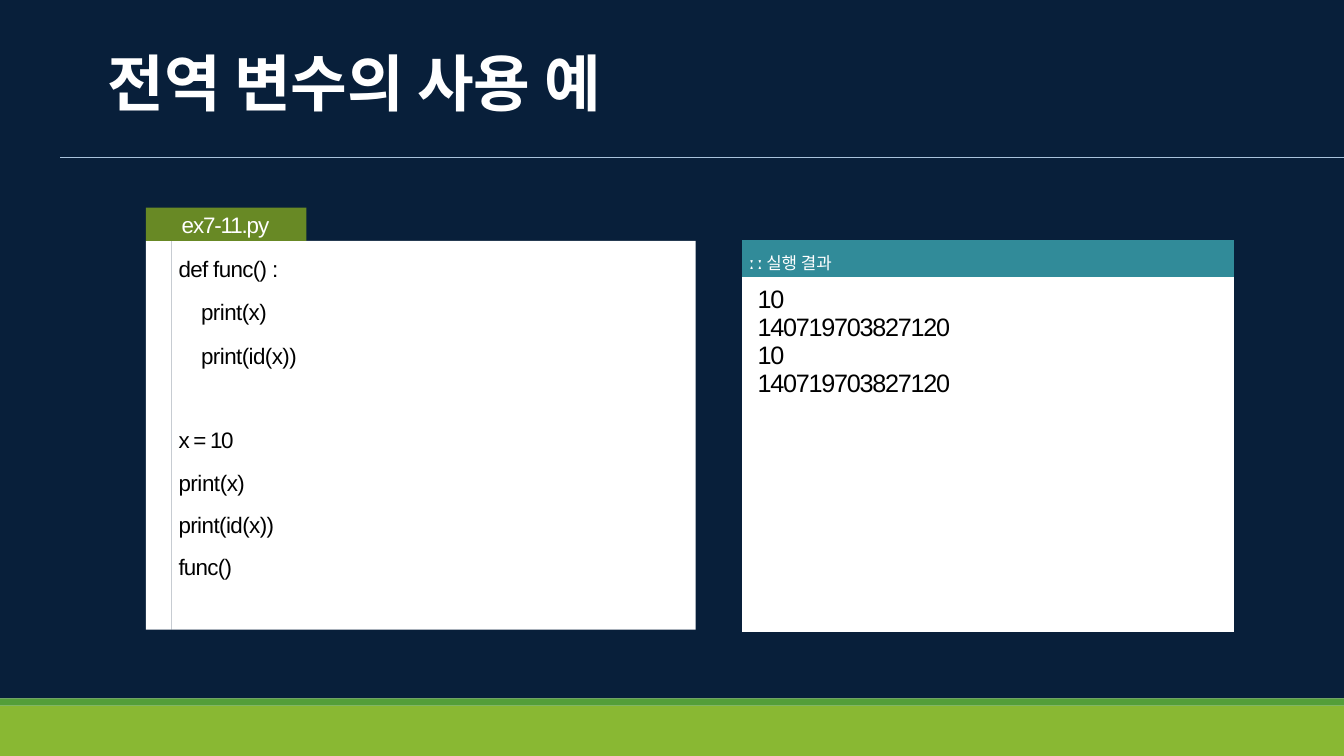
from dataclasses import dataclass

from lxml.etree import SubElement
from pptx import Presentation
from pptx.dml.color import RGBColor
from pptx.enum.shapes import MSO_CONNECTOR, MSO_SHAPE
from pptx.enum.text import MSO_ANCHOR, PP_ALIGN
from pptx.oxml.ns import qn
from pptx.util import Cm, Pt


@dataclass(frozen=True)
class Theme:
    navy: str = "081F3A"
    lime: str = "89B833"
    green: str = "539E39"
    olive: str = "688925"
    teal: str = "318B99"
    rule: str = "A9C2DB"
    white: str = "FFFFFF"
    black: str = "000000"
    title_pt: int = 44
    code_pt: int = 16
    label_pt: int = 12
    output_pt: int = 18
    latin: str = "Arial"
    mono: str = "DejaVu Sans Mono"
    korean: str = "Noto Sans CJK KR"


THEME = Theme()
NO_STYLE_NO_GRID = "{2D5ABB26-0587-4C30-8999-92F81FD0307C}"

# Each line: text, letter spacing in points, space before in points
CODE = [
    ("def func() :", -0.45, 0),
    ("    print(x)", -0.4, 2),
    ("    print(id(x))", -0.4, 2),
    ("x = 10", -0.9, 31.7),
    ("print(x)", -0.3, 2),
    ("print(id(x))", -0.4, 1),
    ("func()", -0.5, 1),
]
OUTPUT = ["10", "140719703827120"] * 2


def add_run(p, text, size, color, font=THEME.latin, bold=False, spacing=0):
    r = p.add_run()
    r.text = text
    r.font.size = Pt(size)
    r.font.bold = bold
    r.font.name = font
    r.font.color.rgb = RGBColor.from_string(color)
    rPr = r.font._element
    rPr.set("spc", str(round(spacing * 100)))
    ea = SubElement(rPr, qn("a:ea"))
    ea.set("typeface", THEME.korean)


def set_frame(tf, left=0, top=0, anchor=MSO_ANCHOR.TOP):
    tf.margin_left, tf.margin_top = Cm(left), Cm(top)
    tf.margin_right = tf.margin_bottom = 0
    tf.vertical_anchor = anchor
    tf.word_wrap = True


def paragraphs(tf, lines):
    """Yield one left-aligned paragraph of the frame with each line."""
    for i, line in enumerate(lines):
        p = tf.add_paragraph() if i else tf.paragraphs[0]
        p.alignment = PP_ALIGN.LEFT
        yield p, line


def add_block(s, x, y, w, h, color):
    sp = s.shapes.add_shape(MSO_SHAPE.RECTANGLE, Cm(x), Cm(y), Cm(w), Cm(h))
    sp.shadow.inherit = False
    sp.fill.solid()
    sp.fill.fore_color.rgb = RGBColor.from_string(color)
    sp.line.fill.background()
    return sp


def add_backdrop(s, w, h):
    lime_h, green_h = 1.27, 0.18
    navy_h = h - lime_h - green_h
    add_block(s, 0, 0, w, navy_h, THEME.navy)
    add_block(s, 0, h - lime_h, w, lime_h, THEME.lime)
    add_block(s, 0, navy_h, w, green_h, THEME.green)


def add_title(s, x, y, w, h, text):
    sp = s.shapes.title
    sp.left, sp.top, sp.width, sp.height = Cm(x), Cm(y), Cm(w), Cm(h)
    # Bring the title in front of the backdrop
    s.shapes._spTree.append(sp._element)
    set_frame(sp.text_frame, anchor=MSO_ANCHOR.MIDDLE)
    p = sp.text_frame.paragraphs[0]
    p.alignment = PP_ALIGN.LEFT
    add_run(p, text, THEME.title_pt, THEME.white, THEME.korean, True, -0.2)


def add_rule(s, x, y, w):
    line = s.shapes.add_connector(
        MSO_CONNECTOR.STRAIGHT, Cm(x), Cm(y), Cm(x + w), Cm(y))
    line.line.width = Pt(0.5)
    line.line.color.rgb = RGBColor.from_string(THEME.rule)
    SubElement(line._element.spPr, qn("a:effectLst"))


def add_code_panel(s, x, y, w, h, file_name, code):
    """Place a file tab above a white card with a gutter and code."""
    tab_w, tab_h, gutter = 4.04, 0.84, 0.64
    add_block(s, x, y + tab_h, gutter, h - tab_h, THEME.white)
    card = add_block(s, x + gutter, y + tab_h, w - gutter, h - tab_h, THEME.white)
    set_frame(card.text_frame, left=0.18, top=0.03)
    for p, (text, spacing, before) in paragraphs(card.text_frame, code):
        p.line_spacing = 1.5
        p.space_before = Pt(before)
        add_run(p, text, THEME.code_pt, THEME.black, spacing=spacing)
    tab = add_block(s, x, y, tab_w, tab_h, THEME.olive)
    set_frame(tab.text_frame, left=0.9, anchor=MSO_ANCHOR.MIDDLE)
    for p, text in paragraphs(tab.text_frame, [file_name]):
        add_run(p, text, THEME.code_pt, THEME.white, spacing=-0.8)


def add_output_table(s, x, y, w, h, label, output):
    head_h = 0.94
    frame = s.shapes.add_table(2, 1, Cm(x), Cm(y), Cm(w), Cm(h))
    table = frame.table
    table._tbl.tblPr.find(qn("a:tableStyleId")).text = NO_STYLE_NO_GRID
    table.rows[0].height, table.rows[1].height = Cm(head_h), Cm(h - head_h)
    head, body = table.cell(0, 0), table.cell(1, 0)
    for cell, color, left, top in ((head, THEME.teal, 0.18, 0.25),
                                   (body, THEME.white, 0.4, 0.2)):
        cell.fill.solid()
        cell.fill.fore_color.rgb = RGBColor.from_string(color)
        cell.margin_left, cell.margin_top = Cm(left), Cm(top)
        cell.margin_right = cell.margin_bottom = 0
    p = head.text_frame.paragraphs[0]
    add_run(p, "ː ː ", THEME.label_pt, THEME.white, bold=True, spacing=-0.7)
    add_run(p, label, THEME.label_pt, THEME.white, THEME.mono)
    for p, text in paragraphs(body.text_frame, output):
        add_run(p, text, THEME.output_pt, THEME.black, spacing=-0.9)


def main():
    slide_w, slide_h = 33.87, 19.05
    prs = Presentation()
    prs.slide_width, prs.slide_height = Cm(slide_w), Cm(slide_h)
    s = prs.slides.add_slide(prs.slide_layouts[5])
    add_backdrop(s, slide_w, slide_h)
    add_title(s, 2.72, 1.12, 14.58, 1.9, "전역 변수의 사용 예")
    add_rule(s, 1.52, 3.96, slide_w - 1.52)
    add_code_panel(s, 3.68, 5.23, 13.85, 10.64, "ex7-11.py", CODE)
    add_output_table(s, 18.69, 6.05, 12.42, 9.88, "실행 결과", OUTPUT)
    prs.save("out.pptx")


if __name__ == "__main__":
    main()
